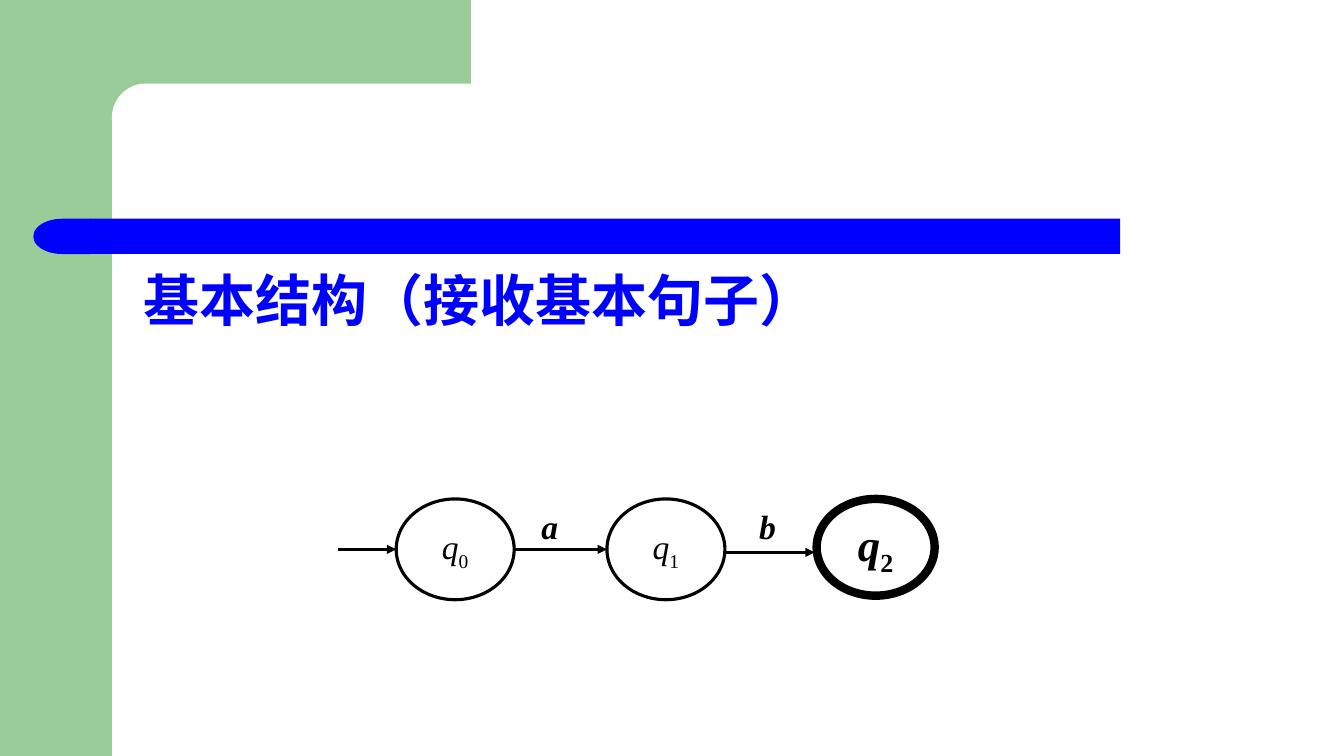
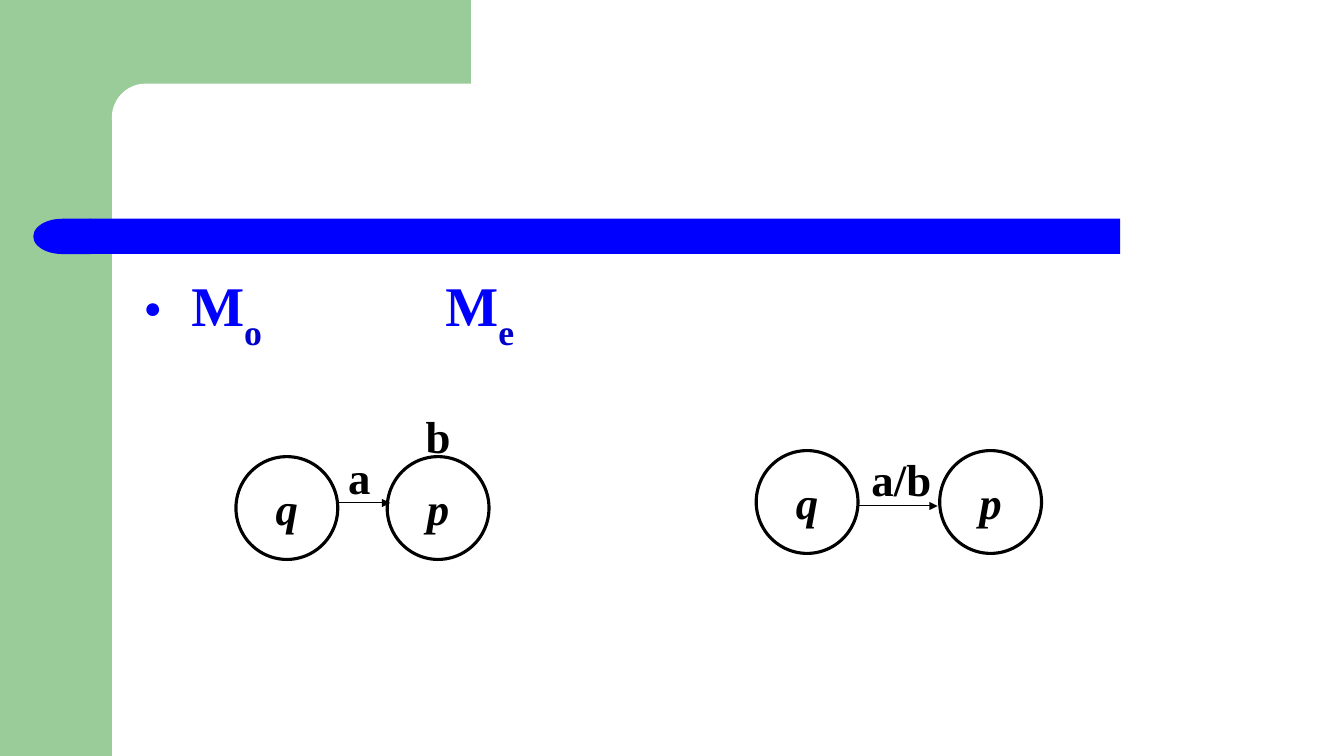
import pptx
import pptx.dml.color
import pptx.enum.shapes
import pptx.enum.text
import pptx.oxml
import pptx.oxml.ns
import pptx.util
from lxml import etree

Inches = pptx.util.Inches
Pt = pptx.util.Pt
SHAPE = pptx.enum.shapes.MSO_SHAPE
ALIGN = pptx.enum.text.PP_ALIGN
ANCHOR = pptx.enum.text.MSO_ANCHOR

COLORS = {"band": "99CC99", "paper": "FFFFFF", "accent": "0000FF",
          "subscript": "0000CC", "ink": "000000"}
LATIN, EAST_ASIAN = "Times New Roman", "Noto Sans CJK SC"

HEADING = {"size": Pt(40), "bold": True, "color": "accent"}
HEADING_SUB = {**HEADING, "size": Pt(44), "color": "subscript", "baseline": -30}
STATE = {"size": Pt(24), "italic": True}
STATE_SUB = {"size": Pt(24), "baseline": -25}
FINAL = {"size": Pt(32), "bold": True, "italic": True}
FINAL_SUB = {"size": Pt(32), "bold": True, "baseline": -25}
SYMBOL = {"size": Pt(24), "bold": True, "italic": True}
LARGE_SYMBOL = {"size": Pt(32), "bold": True}


def rgb(name):
    return pptx.dml.color.RGBColor.from_string(COLORS[name])


def add_xml(parent, tag, **attributes):
    child = etree.SubElement(parent, pptx.oxml.ns.qn(tag))
    for key, value in attributes.items():
        child.set(key, value)
    return child


def write(para, spans):
    """Add (text, format) spans; baseline is a percentage, color a palette name."""
    for text, style in spans:
        span = para.add_run()
        span.text = text
        span.font.name = LATIN
        span.font.color.rgb = rgb(style.get("color", "ink"))
        for key, value in style.items():
            if key not in ("color", "baseline"):
                setattr(span.font, key, value)
        properties = span._r.get_or_add_rPr()
        if "baseline" in style:
            properties.set("baseline", str(style["baseline"] * 1000))
        if not text.isascii():
            add_xml(properties, "a:ea", typeface=EAST_ASIAN)


def add_text(page, box, spans, **frame_format):
    frame = page.shapes.add_textbox(*map(Inches, box)).text_frame
    frame.word_wrap = True
    for key, value in frame_format.items():
        setattr(frame, key, value)
    para = frame.paragraphs[0]
    write(para, spans)
    return para


def add_block(page, kind, box, color):
    block = page.shapes.add_shape(kind, *map(Inches, box))
    block.shadow.inherit = False
    block.fill.solid()
    block.fill.fore_color.rgb = rgb(color)
    block.line.fill.background()
    return block


def add_frame(page):
    """Draw the green corner and the blue title bar with its rounded end."""
    add_block(page, SHAPE.RECTANGLE, (0, 0, 1.11, 7.5), "band")
    add_block(page, SHAPE.RECTANGLE, (1, 0, 3.67, 1.17), "band")
    corner = add_block(page, SHAPE.ROUNDED_RECTANGLE, (1.11, 0.83, 7.44, 0.67), "paper")
    corner.adjustments[0] = 0.5
    add_block(page, SHAPE.RECTANGLE, (0.89, 2.17, 10.22, 0.35), "accent")
    cap = add_block(page, SHAPE.FLOWCHART_DELAY, (0.33, 2.17, 0.57, 0.35), "accent")
    cap.rotation = 180


def add_heading(page, box, spans):
    para = add_text(page, box, spans)
    para.space_before = Pt(8)
    return para


def add_bullet(para, indent):
    properties = para._p.get_or_add_pPr()
    properties.set("marL", str(Inches(indent)))
    properties.set("indent", str(-Inches(indent)))
    color = add_xml(properties, "a:buClr")
    add_xml(color, "a:srgbClr", val=COLORS["accent"])
    add_xml(properties, "a:buSzPct", val="53000")
    add_xml(properties, "a:buFont", typeface=LATIN)
    add_xml(properties, "a:buChar", char="●")


def add_state(page, box, spans, line_width=2.25):
    state = page.shapes.add_shape(SHAPE.OVAL, *map(Inches, box))
    state.shadow.inherit = False
    state.fill.background()
    state.line.color.rgb = rgb("ink")
    state.line.width = Pt(line_width)
    frame = state.text_frame
    frame.word_wrap = False
    frame.vertical_anchor = ANCHOR.MIDDLE
    frame.paragraphs[0].alignment = ALIGN.CENTER
    write(frame.paragraphs[0], spans)


def add_arrow(page, left, right, y, line_width):
    arrow = page.shapes.add_connector(
        pptx.enum.shapes.MSO_CONNECTOR.STRAIGHT, *map(Inches, (left, y, right, y)))
    arrow.line.color.rgb = rgb("ink")
    arrow.line.width = Pt(line_width)
    add_xml(arrow.line._get_or_add_ln(), "a:tailEnd", type="triangle")
    add_xml(arrow._element.spPr, "a:effectLst")


def add_symbol(page, box, text):
    para = add_text(page, box, [(text, LARGE_SYMBOL)], vertical_anchor=ANCHOR.MIDDLE,
                    margin_left=0, margin_right=0, margin_top=0, margin_bottom=0)
    para.alignment = ALIGN.CENTER


def add_acceptor(page, left, top):
    """Draw the chain q0, q1, q2 that accepts ab."""
    width, height, step = 1.17, 1, 2.09
    for index in range(2):
        add_state(page, (left + 0.58 + index * step, top, width, height),
                  [("q", STATE), (str(index), STATE_SUB)])
    add_state(page, (left + 4.75, top, width, 0.96),
              [("q", FINAL), ("2", FINAL_SUB)], line_width=6)
    for start, end, y in ((0, 0.58, 0.5), (1.75, 2.67, 0.5), (3.82, 4.73, 0.53)):
        add_arrow(page, left + start, left + end, top + y, 2.25)
    for text, x in (("a", 1.92), ("b", 4.08)):
        add_text(page, (left + x, top + 0.02, 0.42, 0.5), [(text, SYMBOL)])


def add_transition(page, left, top, step, arrow, symbols):
    """Draw q to p; arrow is (start, end, y) and symbols are (text, x, y, width)."""
    for name, x in (("q", 0), ("p", step)):
        add_state(page, (left + x, top, 1.01, 1.02), [(name, FINAL)])
    start, end, y = arrow
    add_arrow(page, left + start, left + end, top + y, 0.75)
    for text, x, y, width in symbols:
        add_symbol(page, (left + x, top + y, width, 0.54), text)


def build_acceptor_page(page):
    add_frame(page)
    add_heading(page, (1.33, 2.58, 11.67, 4.08), [("基本结构（接收基本句子）", HEADING)])
    add_acceptor(page, 3.35, 4.95)


def build_machines_page(page):
    add_frame(page)
    moore = add_heading(page, (1.33, 2.58, 2.8, 0.9), [("M", HEADING), ("o", HEADING_SUB)])
    add_bullet(moore, 0.47)
    add_heading(page, (4.32, 2.58, 2.8, 0.9), [("M", HEADING), ("e", HEADING_SUB)])
    add_transition(page, 2.34, 4.53, 1.5, (1.02, 1.53, 0.46),
                   [("a", 1.1, -0.07, 0.25), ("b", 1.88, -0.48, 0.25)])
    add_transition(page, 7.5, 4.47, 1.82, (1.01, 1.8, 0.55),
                   [("a/b", 0.92, 0.01, 1.04)])


def main():
    deck = pptx.Presentation()
    deck.slide_width, deck.slide_height = Inches(13.33), Inches(7.5)
    for build in (build_acceptor_page, build_machines_page):
        build(deck.slides.add_slide(deck.slide_layouts[6]))
    deck.save("out.pptx")


if __name__ == "__main__":
    main()
